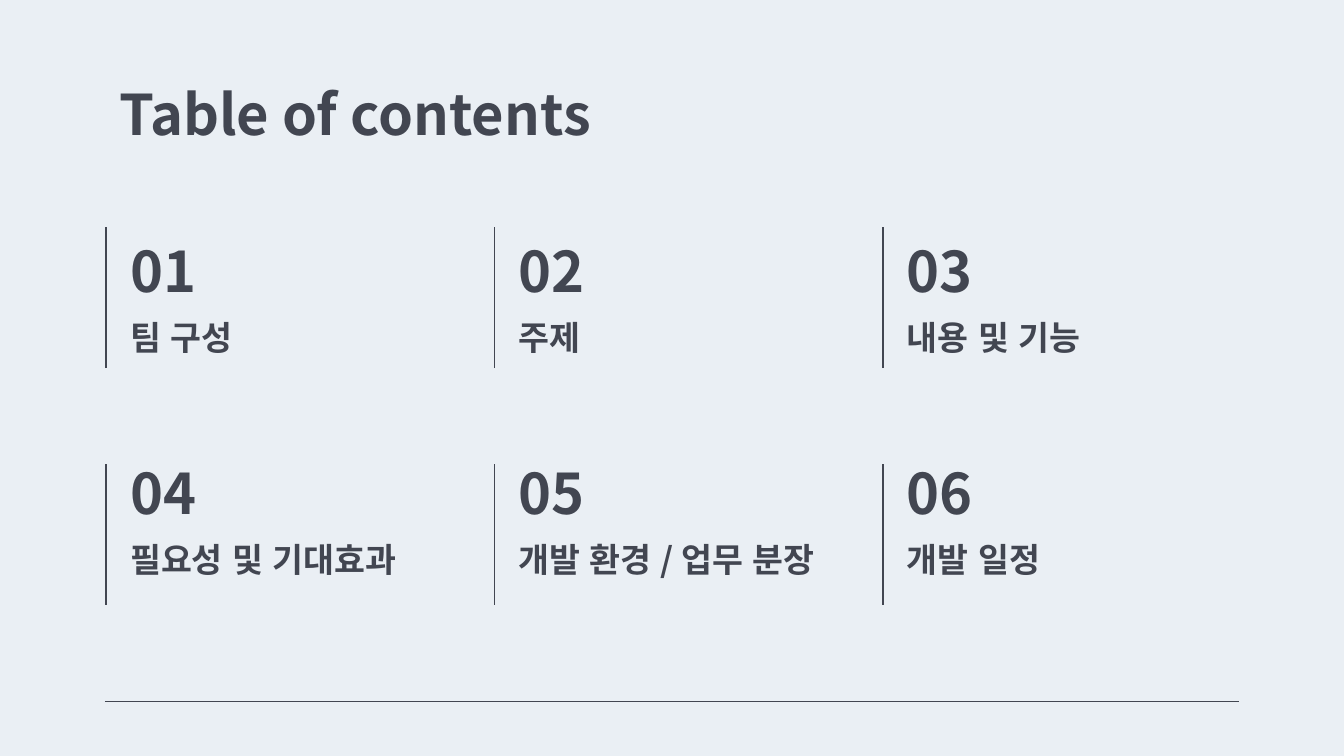
from pptx import Presentation
from pptx import util as u
from pptx.dml.color import RGBColor
from pptx.enum import lang, shapes, text
from pptx.oxml.ns import qn
from lxml import etree

TOPICS = [
    ["팀 구성", "주제", "내용 및 기능"],
    ["필요성 및 기대효과", "개발 환경 / 업무 분장", "개발 일정"],
]
COLUMN_LEFT, COLUMN_STEP = 0.79, 2.89
NUMBER_TOPS = [1.73, 3.38]
RULE_TOPS = [1.69, 3.45]
RULE_HEIGHT = 1.05


def rgb(value):
    return RGBColor.from_string(value)


class Deck:
    font = "Noto Sans CJK KR"
    ink = "424651"
    paper = "EAEFF4"

    def __init__(self, prs):
        self.s = prs.slides.add_slide(prs.slide_layouts[6])
        fill = self.s.background.fill
        fill.solid()
        fill.fore_color.rgb = rgb(self.paper)

    def label(self, words, left, top, width, height, size, anchor=text.MSO_ANCHOR.TOP):
        box = self.s.shapes.add_textbox(*map(u.Inches, (left, top, width, height)))
        tf = box.text_frame
        tf.text = words
        tf.word_wrap = True
        tf.vertical_anchor = anchor
        tf.margin_left = tf.margin_right = u.Inches(0.1)
        tf.margin_top = tf.margin_bottom = u.Inches(0.1)
        r = tf.paragraphs[0].runs[0]
        r.font.name = self.font
        r.font.size = u.Pt(size)
        r.font.bold = True
        r.font.language_id = lang.MSO_LANGUAGE_ID.KOREAN
        r.font.color.rgb = rgb(self.ink)
        east_asian = etree.SubElement(r.font._element, qn("a:ea"))
        east_asian.set("typeface", self.font)

    def rule(self, x1, y1, x2, y2):
        line = self.s.shapes.add_connector(
            shapes.MSO_CONNECTOR.STRAIGHT, *map(u.Inches, (x1, y1, x2, y2)))
        line.line.color.rgb = rgb(self.ink)
        line.line.width = u.Pt(0.75)
        etree.SubElement(line._element.spPr, qn("a:effectLst"))


def main():
    prs = Presentation()
    prs.slide_width = u.Inches(10)
    prs.slide_height = prs.slide_width * 9 // 16
    deck = Deck(prs)
    deck.rule(0.78, 5.22, 9.22, 5.22)
    deck.label("Table of contents", 0.79, 0.49, 8.43, 0.63, 30)

    for row, topics in enumerate(TOPICS):
        top, rule_top = NUMBER_TOPS[row], RULE_TOPS[row]
        for column, topic in enumerate(topics):
            x = COLUMN_LEFT + column * COLUMN_STEP
            number = row * len(topics) + column + 1
            deck.rule(x, rule_top + RULE_HEIGHT, x, rule_top)
            deck.label(f"{number:02}", x + 0.08, top, 0.8, 0.63, 30, text.MSO_ANCHOR.BOTTOM)
            deck.label(topic, x + 0.08, top + 0.53, 2.57, 0.48, 18)

    prs.save("out.pptx")


if __name__ == "__main__":
    main()
